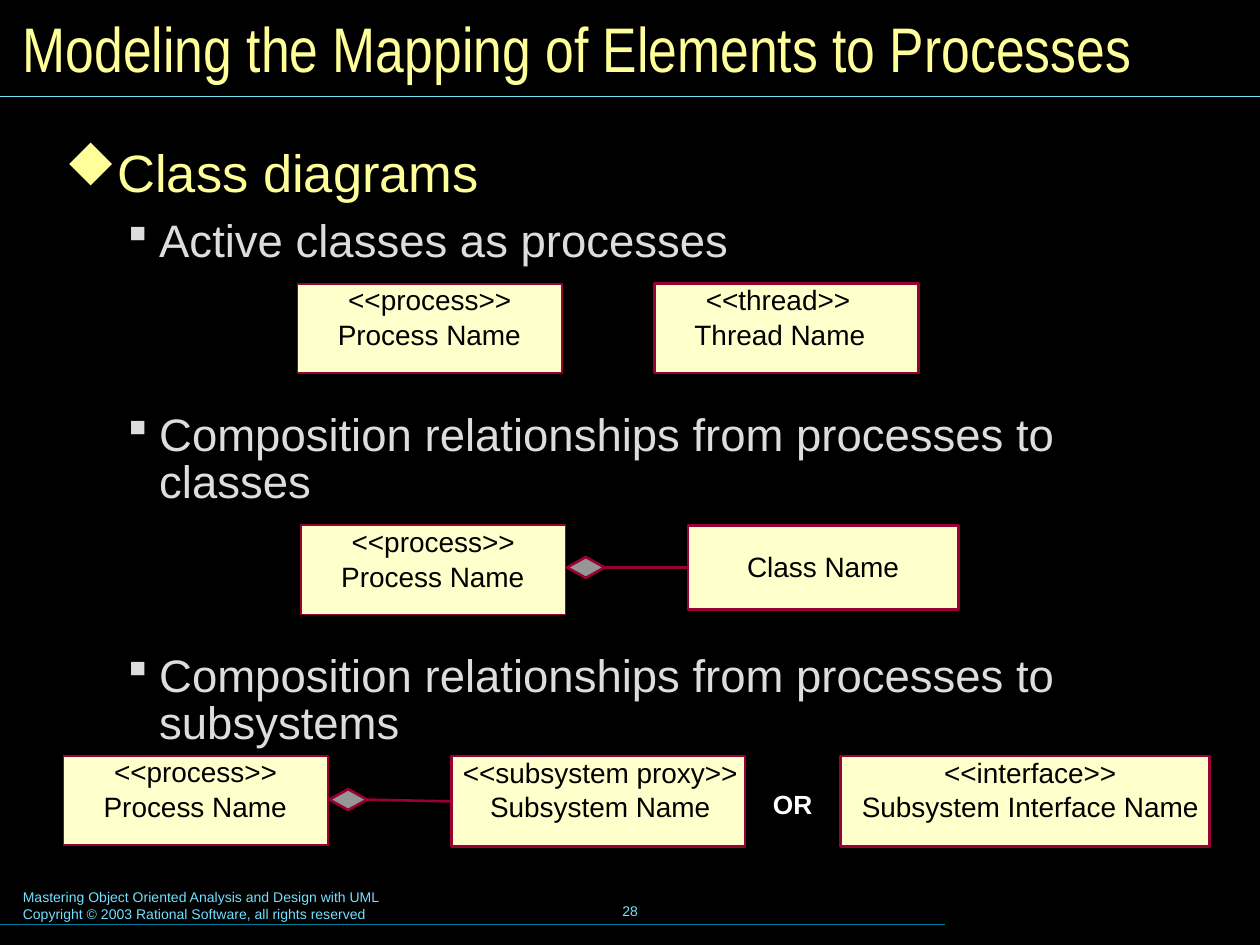
from lxml import etree
from pptx import Presentation
from pptx.dml.color import RGBColor
from pptx.enum.shapes import MSO_CONNECTOR, MSO_SHAPE
from pptx.enum.text import MSO_ANCHOR, PP_ALIGN
from pptx.oxml.ns import qn
from pptx.util import Cm, Pt

LEFT, CENTER = PP_ALIGN.LEFT, PP_ALIGN.CENTER
TOP, MIDDLE = MSO_ANCHOR.TOP, MSO_ANCHOR.MIDDLE
RECTANGLE, STRAIGHT = MSO_SHAPE.RECTANGLE, MSO_CONNECTOR.STRAIGHT
LEFT_SIDE = 1

BLACK, WHITE, YELLOW, GREY = "000000", "FFFFFF", "FFFF99", "DDDDDD"
CREAM, CRIMSON, STEEL = "FFFFCC", "990033", "969696"
SKY, TEAL = "73E1FF", "007E9F"

# Wingdings codes of the bullet signs
DIAMOND_BULLET, SQUARE_BULLET = "u", "§"

NO_INSET, NORMAL_INSET, WIDE_INSET = (0, 0), (0.25, 0.13), (0.3, 0.15)
CLASS_WIDTH, CLASS_HEIGHT = 5.33, 1.8


def color(hex_text):
    return RGBColor.from_string(hex_text)


class Painter:
    font = "Arial"

    def __init__(self, page):
        self.page = page
        page.background.fill.solid()
        page.background.fill.fore_color.rgb = color(BLACK)

    def style_para(self, para, size, tint, align=LEFT, bold=False, font=None):
        para.alignment = align
        para.font.name = font or self.font
        para.font.size = Pt(size)
        para.font.bold = bold
        para.font.color.rgb = color(tint)

    def frame(self, left, top, width, height, inset, anchor=TOP, wrap=True):
        box = self.page.shapes.add_textbox(Cm(left), Cm(top), Cm(width), Cm(height))
        frame = box.text_frame
        frame.word_wrap = wrap
        frame.vertical_anchor = anchor
        frame.margin_left = frame.margin_right = Cm(inset[0])
        frame.margin_top = frame.margin_bottom = Cm(inset[1])
        return frame

    def text(self, lines, left, top, width, height, size, tint, inset=NORMAL_INSET,
             anchor=TOP, wrap=True, **style):
        frame = self.frame(left, top, width, height, inset, anchor, wrap)
        for index, line in enumerate(lines):
            para = frame.add_paragraph() if index else frame.paragraphs[0]
            para.text = line
            self.style_para(para, size, tint, **style)

    def label(self, lines, left, top, width, align=LEFT):
        """Writes the black text that lies on a class box."""
        self.text(lines, left, top, width, 0.68 * len(lines), 16, BLACK,
                  inset=NO_INSET, align=align)

    def bullets(self, items, left, top, width, height):
        """Each item is text, bullet sign, size, colour, indent, hang, spacing, space before."""
        frame = self.frame(left, top, width, height, WIDE_INSET)
        for index, item in enumerate(items):
            words, sign, size, tint, indent, hang, spacing, before = item
            para = frame.add_paragraph() if index else frame.paragraphs[0]
            para.text = words
            para.line_spacing = spacing
            para.space_before = Pt(before)
            props = para._p.get_or_add_pPr()
            props.set("marL", str(Cm(indent)))
            props.set("indent", str(-Cm(hang)))
            bullet_color = etree.SubElement(props, qn("a:buClr"))
            etree.SubElement(bullet_color, qn("a:srgbClr")).set("val", tint)
            bullet_font = etree.SubElement(props, qn("a:buFont"))
            bullet_font.set("typeface", "Wingdings")
            bullet_font.set("charset", "2")
            etree.SubElement(props, qn("a:buChar")).set("char", sign)
            self.style_para(para, size, tint)

    def paint(self, shape, fill, line_width):
        shape.shadow.inherit = False
        shape.fill.solid()
        shape.fill.fore_color.rgb = color(fill)
        shape.line.color.rgb = color(CRIMSON)
        shape.line.width = Pt(line_width)

    def rectangle(self, left, top, width, height, line_width=1.5):
        shape = self.page.shapes.add_shape(
            RECTANGLE, Cm(left), Cm(top), Cm(width), Cm(height))
        self.paint(shape, CREAM, line_width)
        return shape

    def named_class(self, left, top, stereotype, name, line_width=1):
        """Draws a class box; stereotype and name are (text, offset, width)."""
        self.rectangle(left, top, CLASS_WIDTH, CLASS_HEIGHT, line_width)
        for (words, offset, width), drop in ((name, 0.68), (stereotype, -0.02)):
            self.label([words], left + offset, top + drop, width)

    def process(self, left, top):
        self.named_class(left, top, ("<<process>>", 1.02, 3.5),
                         ("Process Name", 0.81, 3.9))

    def line(self, start, end, tint, width):
        connector = self.page.shapes.add_connector(
            STRAIGHT, *(Cm(value) for value in (*start, *end)))
        connector.line.color.rgb = color(tint)
        connector.line.width = Pt(width)
        etree.SubElement(connector._element.spPr, qn("a:effectLst"))
        return connector

    def composition(self, x, y, part):
        """Draws a diamond centred on x, y and a line from it to the part."""
        half_width, half_height = 0.38, 0.21
        builder = self.page.shapes.build_freeform(Cm(x - half_width), Cm(y))
        builder.add_line_segments([
            (Cm(x), Cm(y - half_height)), (Cm(x + half_width), Cm(y)),
            (Cm(x), Cm(y + half_height))], close=True)
        self.paint(builder.convert_to_shape(), STEEL, 1.5)
        link = self.line((x + half_width, y), (x + 2, y), CRIMSON, 1.5)
        link.end_connect(part, LEFT_SIDE)


def main():
    deck = Presentation()
    deck.slide_width, deck.slide_height = Cm(25.4), Cm(19.05)
    painter = Painter(deck.slides.add_slide(deck.slide_layouts[6]))

    painter.text(["Mastering Object Oriented Analysis and Design with UML",
                  "Copyright © 2003 Rational Software, all rights reserved"],
                 0.21, 17.78, 12.95, 0.94, 8, SKY)
    painter.text(["28"], 8.68, 17.73, 8.05, 1.27, 8, SKY,
                 anchor=MIDDLE, wrap=False, align=CENTER)
    painter.line((0, 18.63), (19.05, 18.63), TEAL, 0.75)
    painter.line((0, 1.94), (25.4, 1.94), SKY, 0.75)
    painter.text(["Modeling the Mapping of Elements to Processes"],
                 0.21, 0.21, 25, 1.47, 36, YELLOW, anchor=MIDDLE, font="Arial Narrow")

    topics = [("Active classes as processes", 9.8),
              ("Composition relationships from processes to classes", 83.5),
              ("Composition relationships from processes to subsystems", 83.5)]
    painter.bullets(
        [("Class diagrams", DIAMOND_BULLET, 30, YELLOW, 0.94, 0.94, 0.8, 0)]
        + [(words, SQUARE_BULLET, 26, GREY, 1.9, 0.64, 0.87, before)
           for words, before in topics],
        1.01, 2.92, 23.6, 14.02)

    active_row, class_row, subsystem_row = 5.72, 10.59, 15.24
    painter.process(6, active_row)
    painter.named_class(13.19, active_row, ("<<thread>>", 1.04, 3.2),
                        ("Thread Name", 0.81, 3.7), line_width=1.5)

    painter.process(6.07, class_row)
    plain_class = painter.rectangle(13.87, class_row, 5.46, 1.7)
    painter.composition(11.81, class_row + 0.85, plain_class)
    painter.label(["Class Name"], 15.06, 11.07, 3.3)

    painter.process(1.28, subsystem_row)
    subsystem = painter.rectangle(9.1, subsystem_row, 5.92, 1.83)
    painter.composition(7.02, subsystem_row + 0.88, subsystem)
    painter.label(["<<subsystem proxy>>", "Subsystem Name"],
                  9.04, subsystem_row, 6.12, CENTER)
    painter.text(["OR"], 14.61, 15.74, 2.74, 0.94, 15, WHITE,
                 inset=WIDE_INSET, align=CENTER, bold=True)
    painter.rectangle(16.94, subsystem_row, 7.44, 1.83)
    painter.label(["<<interface>>", "Subsystem Interface Name"],
                  17.22, subsystem_row, 7.1, CENTER)

    deck.save("out.pptx")


if __name__ == "__main__":
    main()
